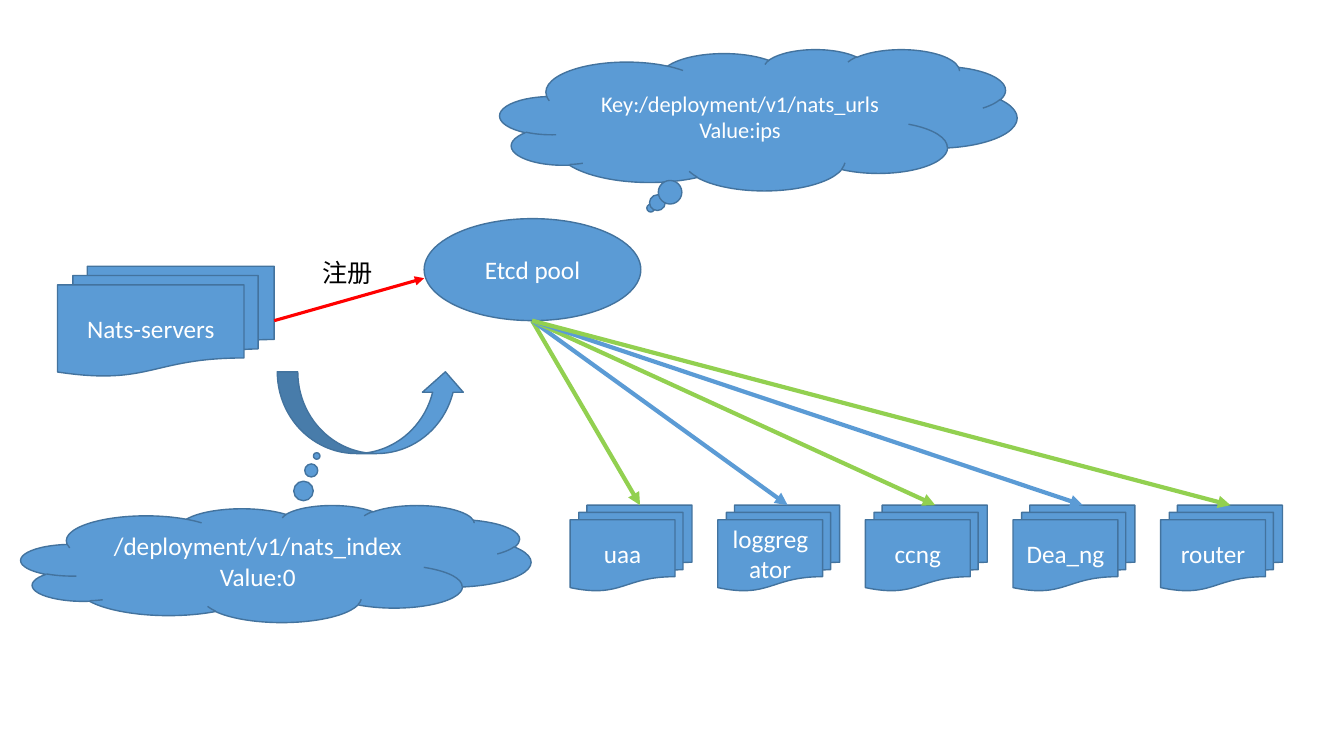
from lxml import etree
from pptx import Presentation
from pptx.dml.color import RGBColor
from pptx.enum.shapes import MSO_CONNECTOR, MSO_SHAPE
from pptx.enum.text import MSO_ANCHOR, MSO_AUTO_SIZE, PP_ALIGN
from pptx.oxml.ns import qn
from pptx.util import Cm, Pt

STRAIGHT = MSO_CONNECTOR.STRAIGHT
ELLIPSE = MSO_SHAPE.OVAL
DOCUMENTS = MSO_SHAPE.FLOWCHART_MULTIDOCUMENT
CLOUD = MSO_SHAPE.CLOUD_CALLOUT
CURVED_ARROW = MSO_SHAPE.CURVED_UP_ARROW
MIDDLE = MSO_ANCHOR.MIDDLE
CENTER = PP_ALIGN.CENTER
LEFT = PP_ALIGN.LEFT
FIT_SHAPE = MSO_AUTO_SIZE.SHAPE_TO_FIT_TEXT

FONT = "Calibri"
BLUE, EDGE, GREEN = "5B9BD5", "43739E", "92D050"
RED, WHITE, BLACK = "FF0000", "FFFFFF", "000000"
SERVICES = ["uaa", "loggregator", "ccng", "Dea_ng", "router"]


def rgb(value):
    """Turn a hex string into a colour."""
    return RGBColor.from_string(value)


def write_lines(tf, lines, size, color, align):
    """Fill a text frame with one paragraph per line."""
    for i, line in enumerate(lines):
        p = tf.paragraphs[0] if i == 0 else tf.add_paragraph()
        p.alignment = align
        r = p.add_run()
        r.text = line
        r.font.name = FONT
        r.font.size = Pt(size)
        r.font.color.rgb = rgb(color)


def add_node(s, kind, left, top, width, height, lines=(), size=18):
    """Add a blue shape with centred white text."""
    sp = s.shapes.add_shape(kind, Cm(left), Cm(top), Cm(width), Cm(height))
    sp.shadow.inherit = False
    sp.fill.solid()
    sp.fill.fore_color.rgb = rgb(BLUE)
    sp.line.color.rgb = rgb(EDGE)
    sp.line.width = Pt(1)
    tf = sp.text_frame
    tf.word_wrap = True
    tf.vertical_anchor = MIDDLE
    write_lines(tf, lines, size, WHITE, CENTER)
    return sp


def add_arrow(s, start, end, color, width):
    """Add a straight line with a triangle at its end."""
    x1, y1, x2, y2 = (Cm(v) for v in (*start, *end))
    cxn = s.shapes.add_connector(STRAIGHT, x1, y1, x2, y2)
    cxn.line.color.rgb = rgb(color)
    cxn.line.width = Pt(width)
    ln = cxn.line._get_or_add_ln()
    etree.SubElement(ln, qn("a:tailEnd"), type="triangle")
    etree.SubElement(cxn._element.spPr, qn("a:effectLst"))


def add_label(s, left, top, width, height, text):
    """Add a black caption that does not wrap."""
    box = s.shapes.add_textbox(Cm(left), Cm(top), Cm(width), Cm(height))
    tf = box.text_frame
    tf.word_wrap = False
    tf.auto_size = FIT_SHAPE
    write_lines(tf, [text], 18, BLACK, LEFT)


def add_services(s, pool_bottom):
    """Add the row of services and the arrows from the pool."""
    lefts = [14.37 + 3.72 * i for i in range(len(SERVICES))]
    for left, name in zip(lefts, SERVICES):
        add_node(s, DOCUMENTS, left, 12.73, 3.07, 2.16, [name])
    for i, left in enumerate(lefts):
        color = BLUE if i % 2 else GREEN
        add_arrow(s, pool_bottom, (left + 1.76, 12.73), color, 3)


def main():
    """Build the service registration slide."""
    prs = Presentation()
    prs.slide_width, prs.slide_height = Cm(33.87), Cm(19.05)
    s = prs.slides.add_slide(prs.slide_layouts[6])

    add_node(s, ELLIPSE, 10.69, 5.51, 5.46, 2.57, ["Etcd pool"])
    add_node(s, DOCUMENTS, 1.45, 6.71, 5.46, 2.77, ["Nats-servers"])
    add_node(s, CLOUD, 12.6, 1.24, 13.03, 3.56,
             ["Key:/deployment/v1/nats_urls", "Value:ips"], 16)
    add_node(s, CURVED_ARROW, 6.99, 9.37, 4.75, 2.06)
    index = add_node(s, CLOUD, 0.53, 12.73, 12.85, 2.95,
                     ["/deployment/v1/nats_index", "Value:0"])
    index.adjustments[0] = 0.08
    index.adjustments[1] = -0.92

    add_services(s, (13.41, 8.08))
    add_arrow(s, (6.91, 8.08), (10.69, 7.01), RED, 2.25)
    add_label(s, 7.87, 6.35, 1.8, 1.02, "注册")
    prs.save("out.pptx")


if __name__ == "__main__":
    main()
